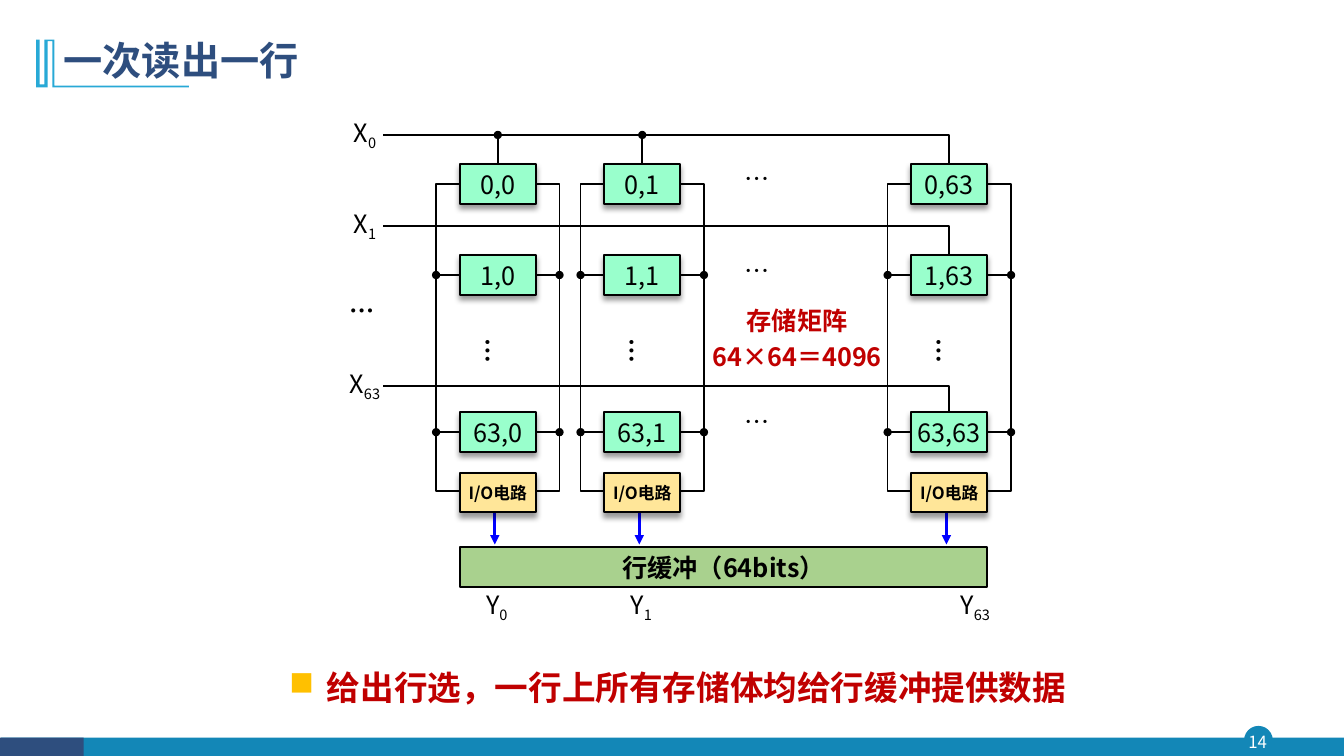
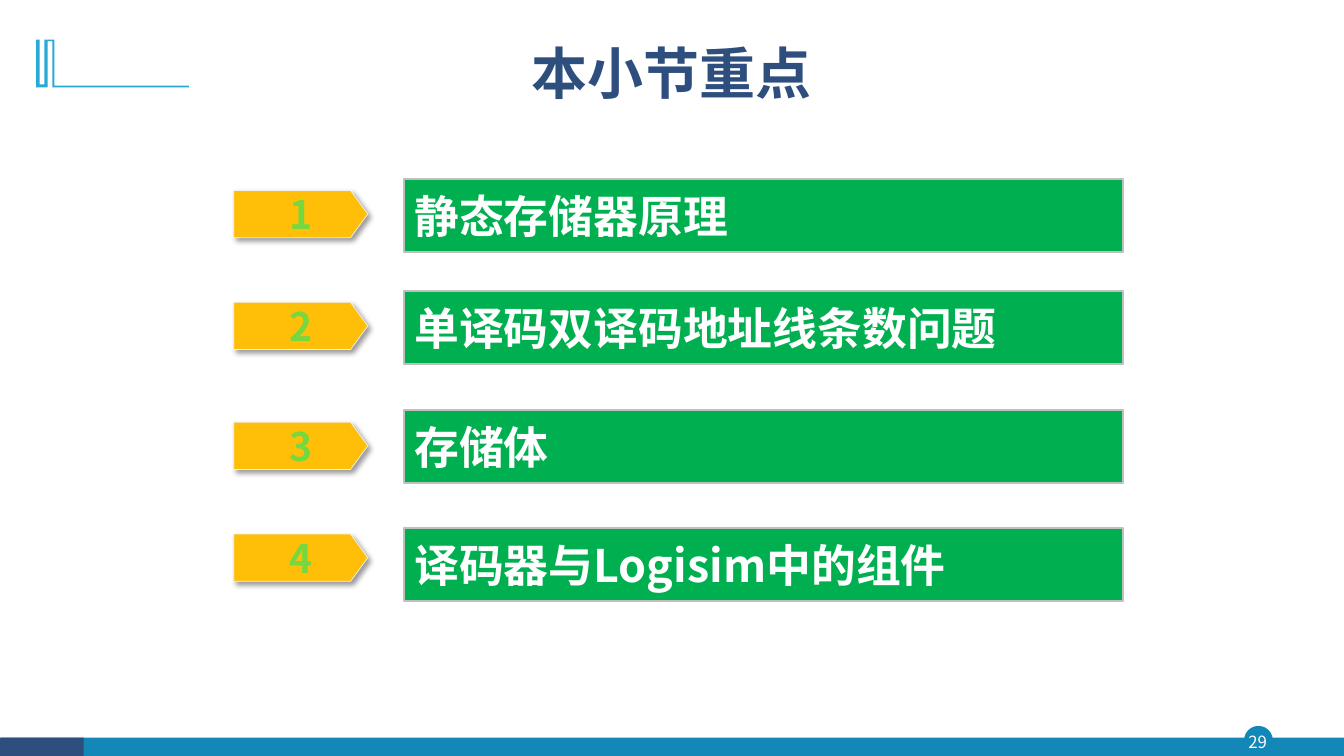
"""Build two slides on reading a memory matrix row by row and the section's key points."""
from lxml.etree import SubElement
from pptx import Presentation
from pptx.dml.color import RGBColor
from pptx.enum.shapes import MSO_CONNECTOR, MSO_SHAPE
from pptx.enum.text import MSO_ANCHOR, MSO_AUTO_SIZE, PP_ALIGN
from pptx.oxml.ns import qn
from pptx.util import Cm, Pt

FONT = "Noto Sans CJK SC"
COLORS = {
    "navy": "2E4E7E", "teal": "1387B7", "sky": "28A9D6", "white": "FFFFFF",
    "black": "000000", "red": "C00000", "blue": "0000FF", "mint": "99FFCC",
    "sand": "FFE699", "leaf": "A9D18E", "gold": "FFC000", "amber": "FFBF09",
    "lime": "75D840", "green": "00B050", "silver": "BFBFBF", "mist": "F2F2F2",
}
BRACKET = [
    (1.37, 1), (1.37, 2.16), (4.76, 2.16), (4.76, 2.2), (1.32, 2.2), (1.32, 1.04),
    (1.2, 1.04), (1.2, 2.2), (0.91, 2.2), (0.91, 1), (1, 1), (1, 2.13), (1.12, 2.13),
    (1.12, 1),
]

MATRIX_TITLE = "一次读出一行"
COLUMNS = [("0", 11.59, 0.93), ("1", 15.23, 0.93), ("63", 22.97, 1.61)]
ROWS = [("0", 4.14, 3.4, 4.11), ("1", 6.43, 5.69, 6.43), ("63", 10.39, 9.73, 10.24)]
MATRIX_NOTES = [("存储矩阵", 7.7), ("64×64＝4096", 8.61)]
IO_TEXT = "I/O电路"
BUFFER_TEXT = "行缓冲（64bits）"
MATRIX_SUMMARY = "给出行选，一行上所有存储体均给行缓冲提供数据"
CELL_WIDTH, CELL_HEIGHT = 1.91, 1
RAIL_GAP = 0.6
WIRE_LEFT = 9.65
IO_TOP = 11.91
BUFFER_TOP = 13.79
LABEL_HEIGHT = 0.97

SUMMARY_TITLE = "本小节重点"
KEY_POINTS = [
    ("静态存储器原理", 4.8, 4.52),
    ("单译码双译码地址线条数问题", 7.62, 7.34),
    ("存储体", 10.64, 10.34),
    ("译码器与Logisim中的组件", 13.46, 13.31),
]


def color(name):
    return RGBColor.from_string(COLORS[name])


def format_run(run, size, tint, bold):
    run.font.size = Pt(size)
    run.font.bold = bold
    run.font.color.rgb = color(tint)
    run.font.name = FONT
    SubElement(run.font._element, qn("a:ea"), typeface=FONT)


def write(shape, text, size, tint="black", bold=False, align=PP_ALIGN.CENTER,
          anchor=MSO_ANCHOR.MIDDLE, inset=True, subscript=""):
    frame = shape.text_frame
    frame.text = text
    frame.word_wrap = True
    frame.auto_size = MSO_AUTO_SIZE.NONE
    frame.vertical_anchor = anchor
    if not inset:
        frame.margin_left = frame.margin_right = frame.margin_top = frame.margin_bottom = 0
    paragraph = frame.paragraphs[0]
    paragraph.alignment = align
    if subscript:
        lowered = paragraph.add_run()
        lowered.text = subscript
        lowered.font._element.set("baseline", "-25000")
    for run in paragraph.runs:
        format_run(run, size, tint, bold)
    return paragraph


def add_label(slide, box, text, size=18, inset=False, **style):
    shape = slide.shapes.add_textbox(*map(Cm, box))
    write(shape, text, size, inset=inset, **style)
    return shape


def add_box(slide, box, fill, line=None, width=1.5, kind=MSO_SHAPE.RECTANGLE,
            shadow_angle=None):
    shape = slide.shapes.add_shape(kind, *map(Cm, box))
    paint(shape, fill, line, width)
    if shadow_angle is not None:
        effects = shape.element.spPr.find(qn("a:effectLst"))
        shadow = SubElement(effects, qn("a:outerShdw"), blurRad=str(Pt(4)), dist=str(Pt(3)),
                            dir=str(shadow_angle * 60000), algn="t", rotWithShape="0")
        tint = SubElement(shadow, qn("a:srgbClr"), val=COLORS["black"])
        SubElement(tint, qn("a:alpha"), val="40000")
    return shape


def paint(shape, fill, line, width):
    shape.shadow.inherit = False
    if fill:
        shape.fill.solid()
        shape.fill.fore_color.rgb = color(fill)
    else:
        shape.fill.background()
    if line:
        shape.line.color.rgb = color(line)
        shape.line.width = Pt(width)
    else:
        shape.line.fill.background()


def add_path(slide, points, fill=None, line=None, width=1.5):
    places = [(Cm(x), Cm(y)) for x, y in points]
    builder = slide.shapes.build_freeform(*places[0])
    builder.add_line_segments(places[1:], close=bool(fill))
    paint(builder.convert_to_shape(), fill, line, width)


def add_line(slide, start, end, tail, tint="black", width=1.5):
    connector = slide.shapes.add_connector(MSO_CONNECTOR.STRAIGHT, *map(Cm, start + end))
    connector.line.color.rgb = color(tint)
    connector.line.width = Pt(width)
    properties = connector.element.spPr
    SubElement(properties.find(qn("a:ln")), qn("a:tailEnd"), type=tail)
    SubElement(properties, qn("a:effectLst"))


def add_slide(presentation, title, box, size, align, number):
    slide = presentation.slides.add_slide(presentation.slide_layouts[5])
    add_box(slide, (31.37, 18.31, 0.69, 0.69), "teal", "teal", 1, MSO_SHAPE.OVAL)
    add_box(slide, (0.03, 18.59, 33.84, 0.48), "teal")
    add_box(slide, (0, 18.59, 2.11, 0.48), "navy")
    add_label(slide, (31.29, 18.31, 0.81, 0.79), number, 12, tint="white")
    add_path(slide, BRACKET, fill="sky")
    heading = slide.shapes.title
    heading.left, heading.top, heading.width, heading.height = map(Cm, box)
    write(heading, title, size, "navy", True, align).line_spacing = 0.9
    return slide


def add_wires(slide):
    half = CELL_WIDTH / 2
    for name, cell_top, wire, dots_top in ROWS:
        last = COLUMNS[-1][1] + half
        add_path(slide, [(last, cell_top), (last, wire), (WIRE_LEFT, wire)], line="black")
        add_label(slide, (8.71, wire - 0.45, LABEL_HEIGHT, LABEL_HEIGHT), "X",
                  subscript=name, anchor=MSO_ANCHOR.TOP)
        add_label(slide, (17.86, dots_top, 2.44, LABEL_HEIGHT), "…", anchor=MSO_ANCHOR.TOP)
    first_top, first_wire = ROWS[0][1:3]
    for _, left, _ in COLUMNS[:-1]:
        add_line(slide, (left + half, first_top), (left + half, first_wire), "oval")
    add_label(slide, (8.81, 7.44, 0.64, LABEL_HEIGHT), "…", bold=True, anchor=MSO_ANCHOR.TOP)


def add_column(slide, name, left, label_offset):
    right = left + CELL_WIDTH
    io_middle = IO_TOP + CELL_HEIGHT / 2 - 0.04
    for edge, rail in ((left, left - RAIL_GAP), (right, right + RAIL_GAP)):
        first_middle = ROWS[0][1] + CELL_HEIGHT / 2
        add_path(slide, [(edge, first_middle), (rail, first_middle), (rail, io_middle),
                         (edge, io_middle)], line="black", width=1)
        for _, cell_top, _, _ in ROWS[1:]:
            middle = cell_top + CELL_HEIGHT / 2
            add_line(slide, (edge, middle), (rail, middle), "oval")
    for row_name, cell_top, _, _ in ROWS:
        cell = add_box(slide, (left, cell_top, CELL_WIDTH, CELL_HEIGHT), "mint", "black",
                       shadow_angle=90)
        write(cell, f"{row_name},{name}", 18, inset=False)
    dots = add_label(slide, (left + 0.47, 8.36, 0.64, LABEL_HEIGHT), "…", bold=True,
                     anchor=MSO_ANCHOR.TOP)
    dots.rotation = 270
    arrow = left + 0.88
    add_line(slide, (arrow, IO_TOP + CELL_HEIGHT), (arrow, BUFFER_TOP - 0.07), "triangle",
             "blue", 2.25)
    circuit = add_box(slide, (left, IO_TOP, CELL_WIDTH, CELL_HEIGHT), "sand", "black",
                      shadow_angle=90)
    write(circuit, IO_TEXT, 12, bold=True, inset=False)
    add_label(slide, (left + label_offset - 0.78, 14.8, 1.56, LABEL_HEIGHT), "Y",
              subscript=name)


def add_matrix_summary(slide):
    shape = add_label(slide, (7.04, 16.48, 20.75, 1.4), MATRIX_SUMMARY, 24, inset=True,
                      tint="red", bold=True, align=PP_ALIGN.LEFT, anchor=MSO_ANCHOR.TOP)
    paragraph = shape.text_frame.paragraphs[0]
    paragraph.line_spacing = 1.2
    properties = paragraph._p.get_or_add_pPr()
    properties.set("marL", str(Cm(0.95)))
    properties.set("indent", str(-Cm(0.95)))
    bullet_color = SubElement(properties, qn("a:buClr"))
    SubElement(bullet_color, qn("a:srgbClr"), val=COLORS["gold"])
    SubElement(properties, qn("a:buChar"), char="■")


def build_matrix(presentation):
    slide = add_slide(presentation, MATRIX_TITLE, (1.35, 0.71, 6.6, 1.73), 28,
                      PP_ALIGN.LEFT, "14")
    add_wires(slide)
    for column in COLUMNS:
        add_column(slide, *column)
    for text, top in MATRIX_NOTES:
        add_label(slide, (17.4, top, 5.38, LABEL_HEIGHT), text, tint="red", bold=True,
                  anchor=MSO_ANCHOR.TOP)
    left, right = COLUMNS[0][1], COLUMNS[-1][1] + CELL_WIDTH
    row_buffer = add_box(slide, (left, BUFFER_TOP, right - left, CELL_HEIGHT), "leaf", "black")
    write(row_buffer, BUFFER_TEXT, 18, bold=True, inset=False)
    add_matrix_summary(slide)


def build_summary(presentation):
    slide = add_slide(presentation, SUMMARY_TITLE, (7.87, 0.51, 18.11, 2.84), 40,
                      PP_ALIGN.CENTER, "29")
    for number, (text, plate_top, bar_top) in enumerate(KEY_POINTS, 1):
        plate = add_box(slide, (5.89, plate_top, 3.38, 1.19), "amber", "mist", 0.5,
                        MSO_SHAPE.PENTAGON, 45)
        plate.adjustments[0] = 0.365
        write(plate, str(number), 28, "lime", True, inset=False)
        plate.text_frame.margin_left = Cm(0.22)
        bar = add_box(slide, (10.19, bar_top, 18.11, 1.83), "green", "silver")
        write(bar, text, 32, "white", True, PP_ALIGN.LEFT)


def main():
    presentation = Presentation()
    presentation.slide_width = Cm(33.87)
    presentation.slide_height = Cm(19.05)
    build_matrix(presentation)
    build_summary(presentation)
    presentation.save("out.pptx")


if __name__ == "__main__":
    main()
